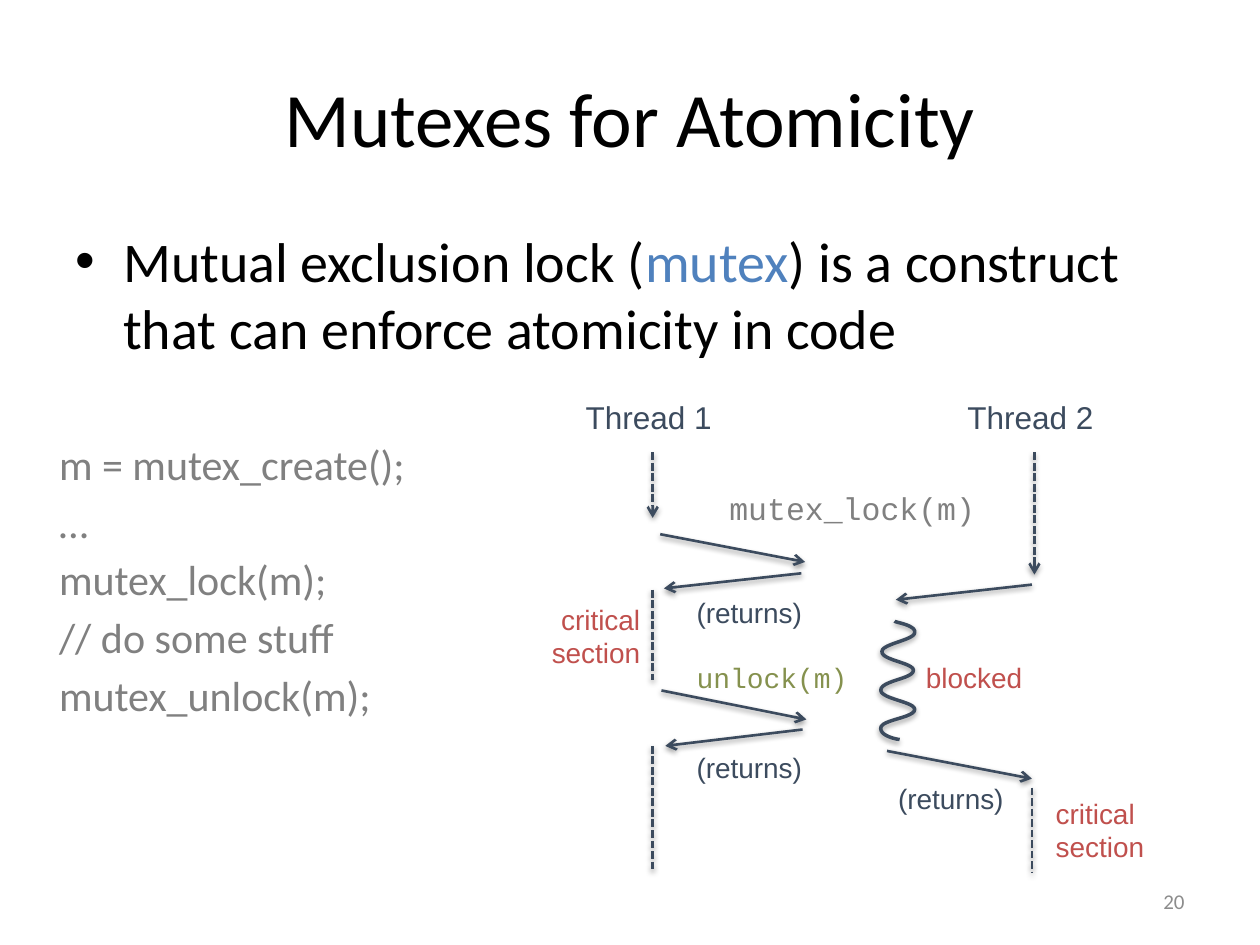
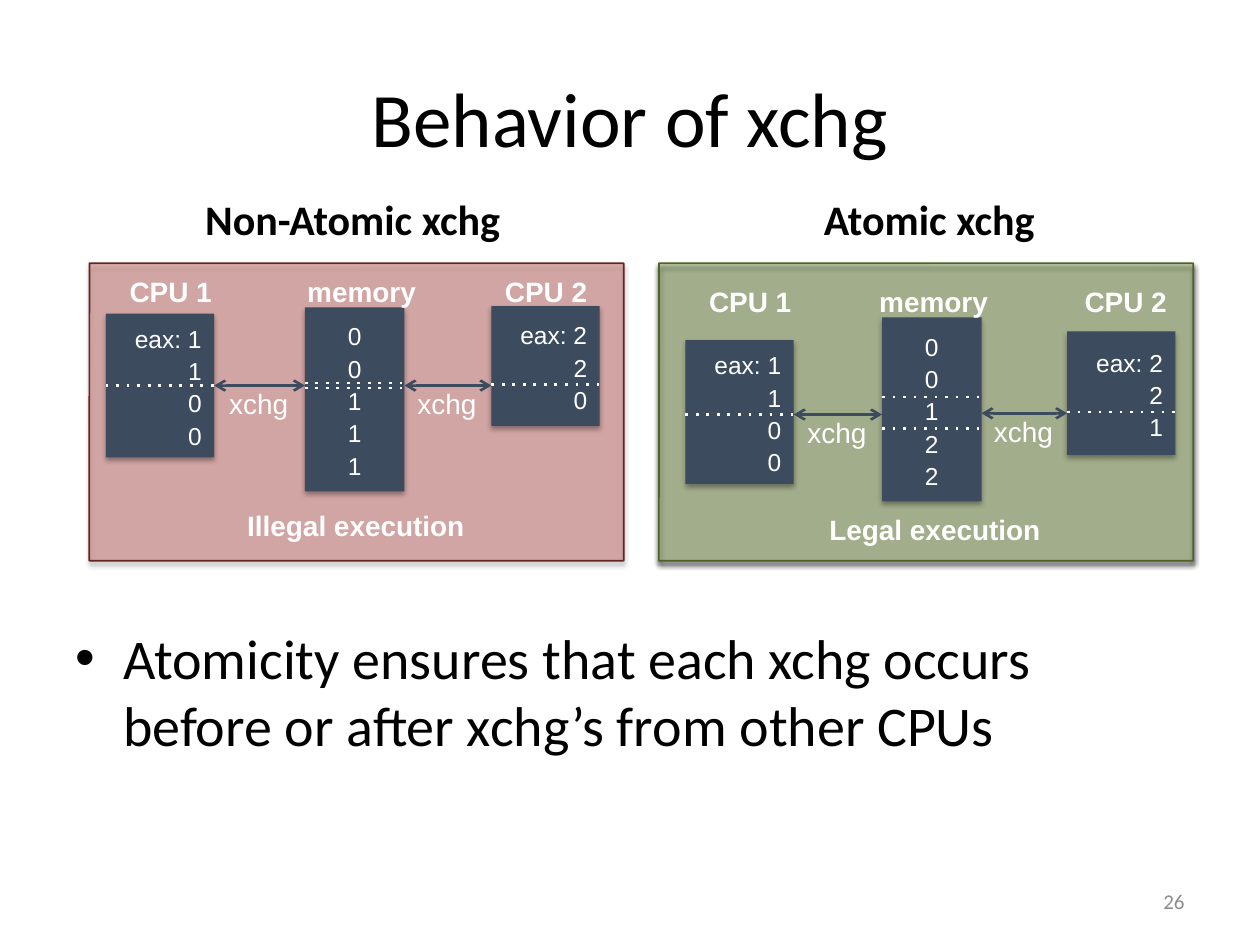
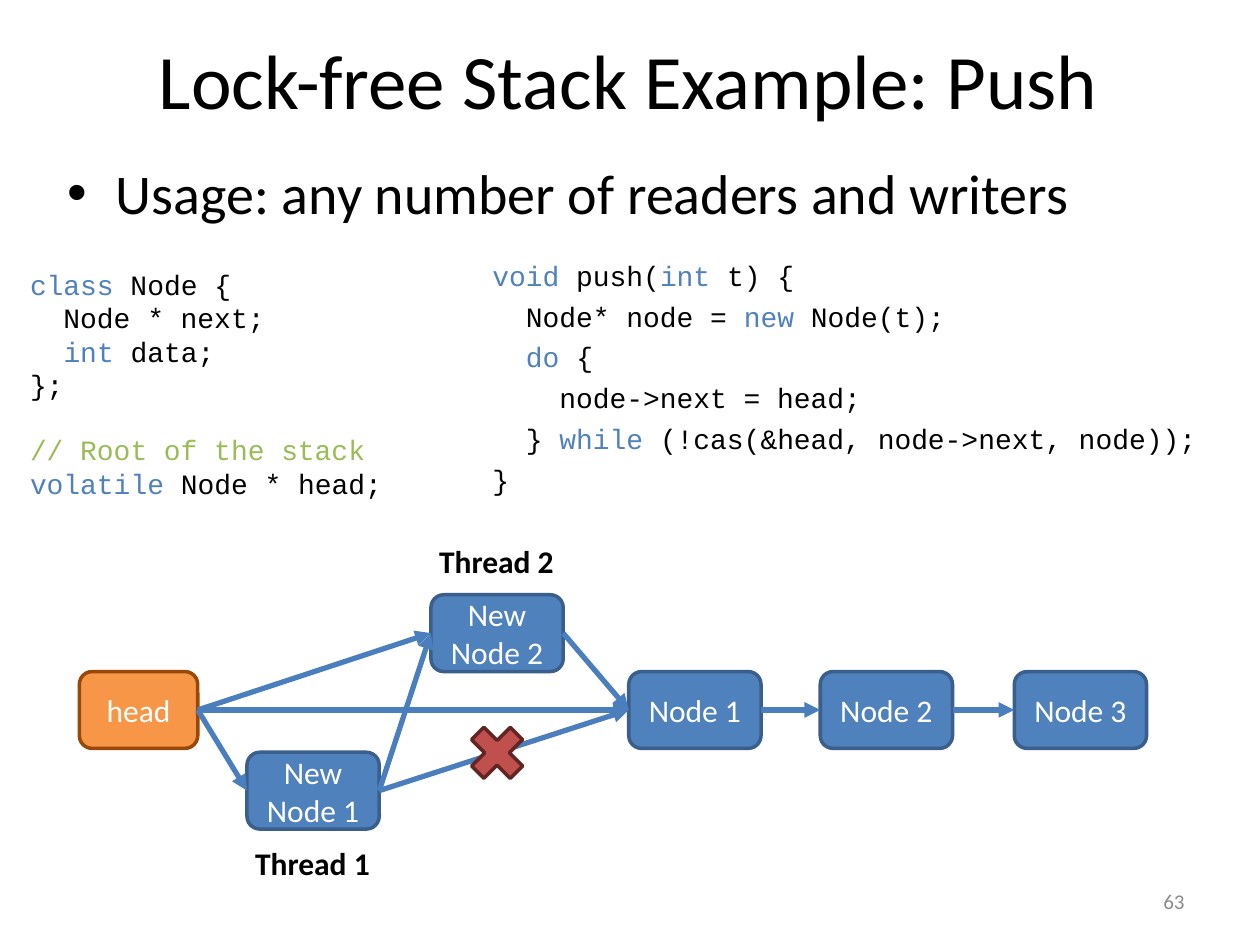
from lxml.etree import SubElement
from pptx import Presentation
from pptx.dml.color import RGBColor
from pptx.enum.shapes import MSO_CONNECTOR as Connector, MSO_SHAPE as Preset
from pptx.enum.text import MSO_ANCHOR as Anchor, PP_ALIGN as Align
from pptx.oxml.ns import qn
from pptx.util import Inches, Pt

BLACK, WHITE, GRAY, FOOTER = "000000", "FFFFFF", "808080", "8C8C8C"
SLATE, BLUE, RED, GREEN, OLIVE = "3C4B5E", "4F81BD", "C0504D", "9BBB59", "85914E"
MAROON, DARK_BLUE, LINK_BLUE = "632523", "3A5F8C", "4B7EBC"
SANS, LABEL, CODE = "Calibri", "Arial", "Courier New"
LINE_SHADOW, SHAPE_SHADOW = (38, 3.1, 1.6), (35, 3.1, 1.8)
PARAGRAPH_GAP = 4.2

MUTEX_BULLET = [["Mutual exclusion lock (", ("mutex", BLUE),
                 ") is a construct that can enforce atomicity in code"]]
MUTEX_USAGE = ["m = mutex_create();", "…", "mutex_lock(m);",
               "// do some stuff", "mutex_unlock(m);"]
CALLS = [
    ((5.24, 4.24), (6.39, 4.46)), ((6.36, 4.55), (5.27, 4.67)),
    ((8.19, 4.64), (7.11, 4.76)), ((7.04, 5.96), (8.19, 6.18)),
    ((5.25, 5.48), (6.4, 5.71)), ((6.37, 5.79), (5.28, 5.92)),
]
LIFELINES = [
    (5.18, 3.59, 4.11, "arrow"), (5.18, 4.68, 5.4, None), (5.18, 5.92, 6.91, None),
    (8.21, 3.59, 4.56, "arrow"), (8.19, 6.25, 6.93, None),
]
CRITICAL = ["critical", "section"]
THREAD_LABELS = [
    ((4.55, 3.11, 1.26, 0.4), ["Thread 1"], dict(size=18)),
    ((7.58, 3.11, 1.26, 0.4), ["Thread 2"], dict(size=18)),
    ((5.69, 3.83, 2.16, 0.4), ["mutex_lock(m)"], dict(size=18, font=CODE, color=GRAY)),
    ((5.43, 5.19, 1.42, 0.37), ["unlock(m)"], dict(font=CODE, color=OLIVE)),
    ((5.43, 4.68, 1.07, 0.37), ["(returns)"], {}),
    ((5.43, 5.91, 1.07, 0.37), ["(returns)"], {}),
    ((7.03, 6.15, 1.07, 0.37), ["(returns)"], {}),
    ((7.25, 5.19, 0.97, 0.37), ["blocked"], dict(color=RED)),
    ((4.27, 4.73, 0.91, 0.64), CRITICAL, dict(color=RED, align=Align.RIGHT)),
    ((8.28, 6.27, 0.91, 0.64), CRITICAL, dict(color=RED)),
]
BLOCKED_START = (7.1, 4.93)
BLOCKED_CURVES = [
    ((7.1, 4.94), (7.27, 4.96), (7.26, 5.02)), ((7.26, 5.08), (7, 5.11), (7, 5.17)),
    ((6.99, 5.24), (7.25, 5.26), (7.25, 5.32)), ((7.25, 5.39), (6.99, 5.4), (6.99, 5.48)),
    ((7, 5.55), (7.26, 5.57), (7.26, 5.63)), ((7.26, 5.7), (6.99, 5.71), (6.99, 5.78)),
    ((6.99, 5.85), (7.14, 5.87), (7.14, 5.87)),
]

XCHG_BULLET = ["Atomicity ensures that each xchg occurs before or after "
               "xchg’s from other CPUs"]
PANELS = [
    dict(heading="Non-Atomic xchg", heading_at=(1.53, 1.49, 2.57, 0.5), left=0.71,
         fill=RED, opacity=39, line=MAROON,
         verdict="Illegal execution", verdict_at=(1.01, 3.99, 3.63, 0.37),
         label_top=2.13, exchange_tops=(3.06, 3.06),
         columns=[
             ("CPU 1", 0.93, (0.84, 2.49, 0.86, 1.14), "eax: 1|1|0|0", [3.06]),
             ("memory", 2.34, (2.42, 2.44, 0.79, 1.46), "0|0|1|1|1", [3.04, 3.08]),
             ("CPU 2", 3.91, (3.9, 2.43, 0.86, 0.95), "eax: 2|2|0", [3.05])]),
    dict(heading="Atomic xchg", heading_at=(6.44, 1.49, 1.89, 0.5), left=5.23,
         fill=GREEN, opacity=35, line="4F6228",
         verdict="Legal execution", verdict_at=(6.47, 4.02, 1.9, 0.37),
         label_top=2.21, exchange_tops=(3.29, 3.28),
         columns=[
             ("CPU 1", 5.53, (5.44, 2.7, 0.86, 1.14), "eax: 1|1|0|0", [3.29]),
             ("memory", 6.88, (7, 2.52, 0.79, 1.46), "0|0|1|2|2", [3.15, 3.4]),
             ("CPU 2", 8.51, (8.47, 2.63, 0.86, 0.98), "eax: 2|2|1", [3.27])]),
]

STACK_BULLET = ["Usage: any number of readers and writers"]
NODE_CODE = [
    [("class", BLUE), " Node {"],
    "  Node * next;",
    ["  ", ("int ", BLUE), "data;"],
    "};",
    [("// Root of the stack", GREEN)],
    [("volatile", BLUE), " Node * head;"],
]
PUSH_CODE = [
    [("void ", BLUE), "push(", ("int", BLUE), " t) {"],
    ["  Node* node = ", ("new", BLUE), " Node(t);"],
    ["  ", ("do ", BLUE), "{"],
    "    node->next = head;",
    ["  } ", ("while ", BLUE), "(!cas(&head, node->next, node));"],
    "}",
]
NODES = {
    "head": (0.63, 5.33), "Node 1": (4.99, 5.33), "Node 2": (6.51, 5.33),
    "Node 3": (8.05, 5.33), "New Node 2": (3.42, 4.72), "New Node 1": (1.96, 5.97),
}
LINKS = [
    ("Node 1", "Node 2"), ("Node 2", "Node 3"), ("head", "Node 1"),
    ("New Node 1", "Node 1"), ("head", "New Node 2"), ("New Node 2", "Node 1"),
    ("New Node 1", "New Node 2"), ("head", "New Node 1"),
]
THREAD_NAMES = [("Thread 1", 1.92, 6.65), ("Thread 2", 3.38, 4.25)]


def rgb(color):
    return RGBColor.from_string(color)


def inches(values):
    return [Inches(value) for value in values]


def write(frame, paragraphs, size=16, font=LABEL, color=BLACK, bold=False,
          align=Align.LEFT, anchor=Anchor.TOP, wrap=True, before=0, gaps={},
          spacing=None, bullet=False):
    frame.word_wrap = wrap
    frame.vertical_anchor = anchor
    for index, content in enumerate(paragraphs):
        paragraph = frame.add_paragraph() if index else frame.paragraphs[0]
        paragraph.alignment = align
        if index:
            paragraph.space_before = Pt(gaps.get(index, before))
        if spacing:
            paragraph.line_spacing = spacing
        if bullet:
            properties = paragraph._p.get_or_add_pPr()
            properties.set("marL", str(Inches(0.38)))
            properties.set("indent", str(Inches(-0.38)))
            SubElement(properties, qn("a:buFont"), typeface="Arial")
            SubElement(properties, qn("a:buChar"), char="•")
        for part in [content] if isinstance(content, str) else content:
            text, part_color = (part, color) if isinstance(part, str) else part
            run = paragraph.add_run()
            run.text = text
            run.font.size = Pt(size)
            run.font.name = font
            run.font.bold = bold
            run.font.color.rgb = rgb(part_color)


def add_text(shapes, at, paragraphs, **style):
    write(shapes.add_textbox(*inches(at)).text_frame, paragraphs, **style)


def add_bullet(slide, at, paragraphs):
    add_text(slide.shapes, at, paragraphs, size=32, font=SANS, bullet=True)


def set_shadow(shape, shadow):
    properties = shape._element.spPr
    effects = properties.find(qn("a:effectLst"))
    if effects is None:
        effects = SubElement(properties, qn("a:effectLst"))
    if shadow:
        opacity, blur, distance = shadow
        outer = SubElement(effects, qn("a:outerShdw"), blurRad=str(Pt(blur)),
                           dist=str(Pt(distance)), dir="5400000", rotWithShape="0")
        black = SubElement(outer, qn("a:srgbClr"), val=BLACK)
        SubElement(black, qn("a:alpha"), val=str(opacity * 1000))


def add_shape(shapes, preset, at, fill, line=None, width=2, opacity=None, shadow=None):
    shape = shapes.add_shape(preset, *inches(at))
    shape.shadow.inherit = False
    shape.fill.solid()
    shape.fill.fore_color.rgb = rgb(fill)
    if opacity:
        fill_color = shape._element.spPr.find(qn("a:solidFill"))[0]
        SubElement(fill_color, qn("a:alpha"), val=str(opacity * 1000))
    if line:
        shape.line.color.rgb = rgb(line)
        shape.line.width = Pt(width)
    else:
        shape.line.fill.background()
    set_shadow(shape, shadow)
    return shape


def add_line(shapes, start, end, color=SLATE, width=1.5, dash=None, head=None,
             tail=None, shadow=None):
    connector = shapes.add_connector(Connector.STRAIGHT, *inches(start + end))
    connector.line.color.rgb = rgb(color)
    connector.line.width = Pt(width)
    line = connector.line._get_or_add_ln()
    for tag, name, value in (("a:prstDash", "val", dash), ("a:headEnd", "type", head),
                             ("a:tailEnd", "type", tail)):
        if value:
            SubElement(line, qn(tag)).set(name, value)
    set_shadow(connector, shadow)
    return connector


def add_slide(presentation, title, number, left=0.5, top=0.3):
    slide = presentation.slides.add_slide(presentation.slide_layouts[5])
    placeholder = slide.shapes.title
    placeholder.left, placeholder.top, placeholder.width, placeholder.height = inches(
        (left, top, 9, 1.25))
    write(placeholder.text_frame, [title], size=44, font=SANS, align=Align.CENTER,
          anchor=Anchor.MIDDLE)
    add_text(slide.shapes, (7.17, 6.95, 2.33, 0.4), [number], size=12, font=SANS,
             color=FOOTER, align=Align.RIGHT, anchor=Anchor.MIDDLE)
    return slide


def curve_points(start, curves, steps=12):
    points = []
    for first, second, end in curves:
        for step in range(1, steps + 1):
            t = step / steps
            weights = ((1 - t) ** 3, 3 * t * (1 - t) ** 2, 3 * t * t * (1 - t), t ** 3)
            corners = (start, first, second, end)
            points.append(tuple(
                Inches(sum(weight * corner[axis] for weight, corner in zip(weights, corners)))
                for axis in (0, 1)))
        start = end
    return points


def add_blocked_wave(shapes):
    builder = shapes.build_freeform(*inches(BLOCKED_START))
    builder.add_line_segments(curve_points(BLOCKED_START, BLOCKED_CURVES), close=False)
    wave = builder.convert_to_shape()
    wave.shadow.inherit = False
    wave.fill.background()
    wave.line.color.rgb = rgb(SLATE)
    wave.line.width = Pt(2)
    set_shadow(wave, LINE_SHADOW)


def build_mutexes(presentation):
    slide = add_slide(presentation, "Mutexes for Atomicity", "20")
    shapes = slide.shapes
    add_bullet(slide, (0.5, 1.75, 9, 1.41), MUTEX_BULLET)
    add_text(shapes, (0.37, 3.43, 3.15, 3.66), MUTEX_USAGE, size=24, font=SANS,
             color=GRAY, before=PARAGRAPH_GAP)
    for start, end in CALLS:
        add_line(shapes, start, end, tail="arrow", shadow=LINE_SHADOW)
    for left, top, bottom, tail in LIFELINES:
        add_line(shapes, (left, top), (left, bottom), dash="sysDash", tail=tail,
                 shadow=LINE_SHADOW)
    add_blocked_wave(shapes)
    for at, lines, style in THREAD_LABELS:
        add_text(shapes, at, lines, **{"color": SLATE, "wrap": False, **style})


def add_panel(slide, panel):
    add_text(slide.shapes, panel["heading_at"], [panel["heading"]], size=24, font=SANS,
             bold=True, wrap=False)
    shapes = slide.shapes.add_group_shape().shapes
    frame = add_shape(shapes, Preset.ROUNDED_RECTANGLE, (panel["left"], 2.09, 4.24, 2.36),
                      panel["fill"], panel["line"], 1, panel["opacity"], SHAPE_SHADOW)
    frame.adjustments[0] = 0.001
    label_style = dict(color=WHITE, bold=True, wrap=False)
    for label, label_left, at, values, splits in panel["columns"]:
        is_memory = label == "memory"
        box = add_shape(shapes, Preset.RECTANGLE, at, SLATE, shadow=SHAPE_SHADOW)
        write(box.text_frame, values.split("|"), size=14, color=WHITE, spacing=1.1,
              align=Align.CENTER if is_memory else Align.RIGHT, anchor=Anchor.MIDDLE)
        add_text(shapes, (label_left, panel["label_top"], 1.07 if is_memory else 0.86, 0.37),
                 [label], **label_style)
        for split in splits:
            add_line(shapes, (at[0], split), (at[0] + at[2], split), WHITE, dash="dot")
    boxes = [column[2] for column in panel["columns"]]
    for before, after, top in zip(boxes, boxes[1:], panel["exchange_tops"]):
        start, end = before[0] + before[2], after[0]
        add_line(shapes, (start, top), (end, top), head="arrow", tail="arrow")
        add_text(shapes, ((start + end - 0.68) / 2, top - 0.04, 0.68, 0.37), ["xchg"],
                 color=WHITE, wrap=False)
    add_text(shapes, panel["verdict_at"], [panel["verdict"]], align=Align.CENTER,
             **label_style)


def build_xchg(presentation):
    slide = add_slide(presentation, "Behavior of xchg", "26")
    add_bullet(slide, (0.5, 4.9, 9, 1.8), XCHG_BULLET)
    for panel in PANELS:
        add_panel(slide, panel)


def build_stack(presentation):
    slide = add_slide(presentation, "Lock-free Stack Example: Push", "63", 0.49, 0)
    shapes = slide.shapes
    add_bullet(slide, (0.44, 1.21, 9.32, 0.71), STACK_BULLET)
    add_text(shapes, (0.14, 2.07, 3.3, 1.99), NODE_CODE, font=CODE, gaps={4: 18})
    add_text(shapes, (3.81, 2, 6.08, 2.13), PUSH_CODE, font=CODE, before=PARAGRAPH_GAP)
    nodes = {}
    for name, (left, top) in NODES.items():
        is_head = name == "head"
        node = add_shape(shapes, Preset.ROUNDED_RECTANGLE,
                         (left, top, 0.94 if is_head else 1.05, 0.61),
                         "F79646" if is_head else BLUE, "984807" if is_head else DARK_BLUE)
        write(node.text_frame, [name], size=18, font=SANS, color=WHITE,
              align=Align.CENTER, anchor=Anchor.MIDDLE)
        nodes[name] = node
    for source, target in LINKS:
        link = add_line(shapes, (0, 0), (1, 1), LINK_BLUE, 3, tail="triangle")
        link.begin_connect(nodes[source], 3)
        link.end_connect(nodes[target], 1)
    add_shape(shapes, Preset.MATH_MULTIPLY, (3.65, 5.68, 0.59, 0.59), RED, MAROON)
    for name, left, top in THREAD_NAMES:
        add_text(shapes, (left, top, 1.12, 0.4), [name], size=18, font=SANS, bold=True,
                 align=Align.CENTER, wrap=False)


def main():
    presentation = Presentation()
    presentation.slide_width, presentation.slide_height = inches((10, 7.5))
    build_mutexes(presentation)
    build_xchg(presentation)
    build_stack(presentation)
    presentation.save("out.pptx")


if __name__ == "__main__":
    main()
